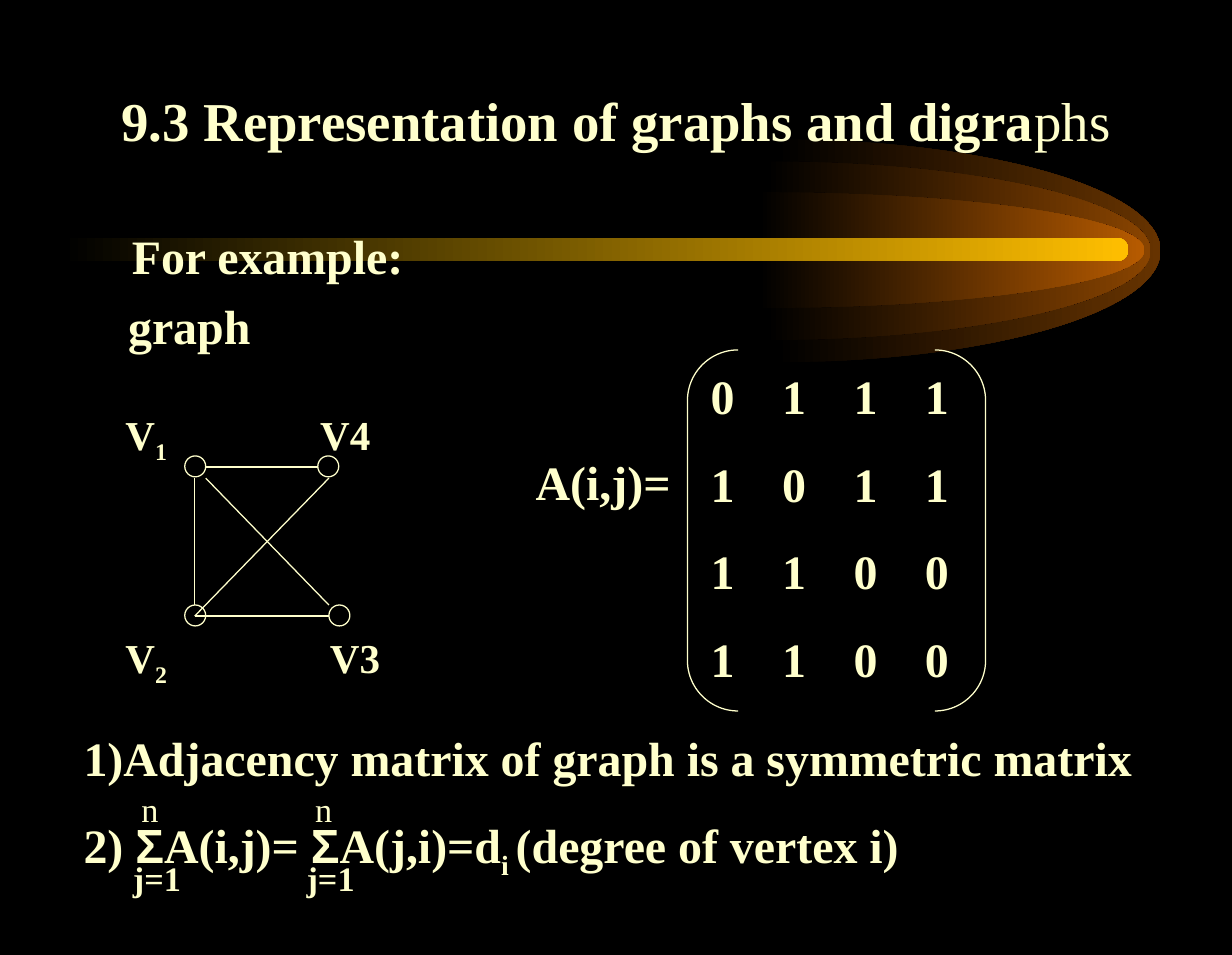
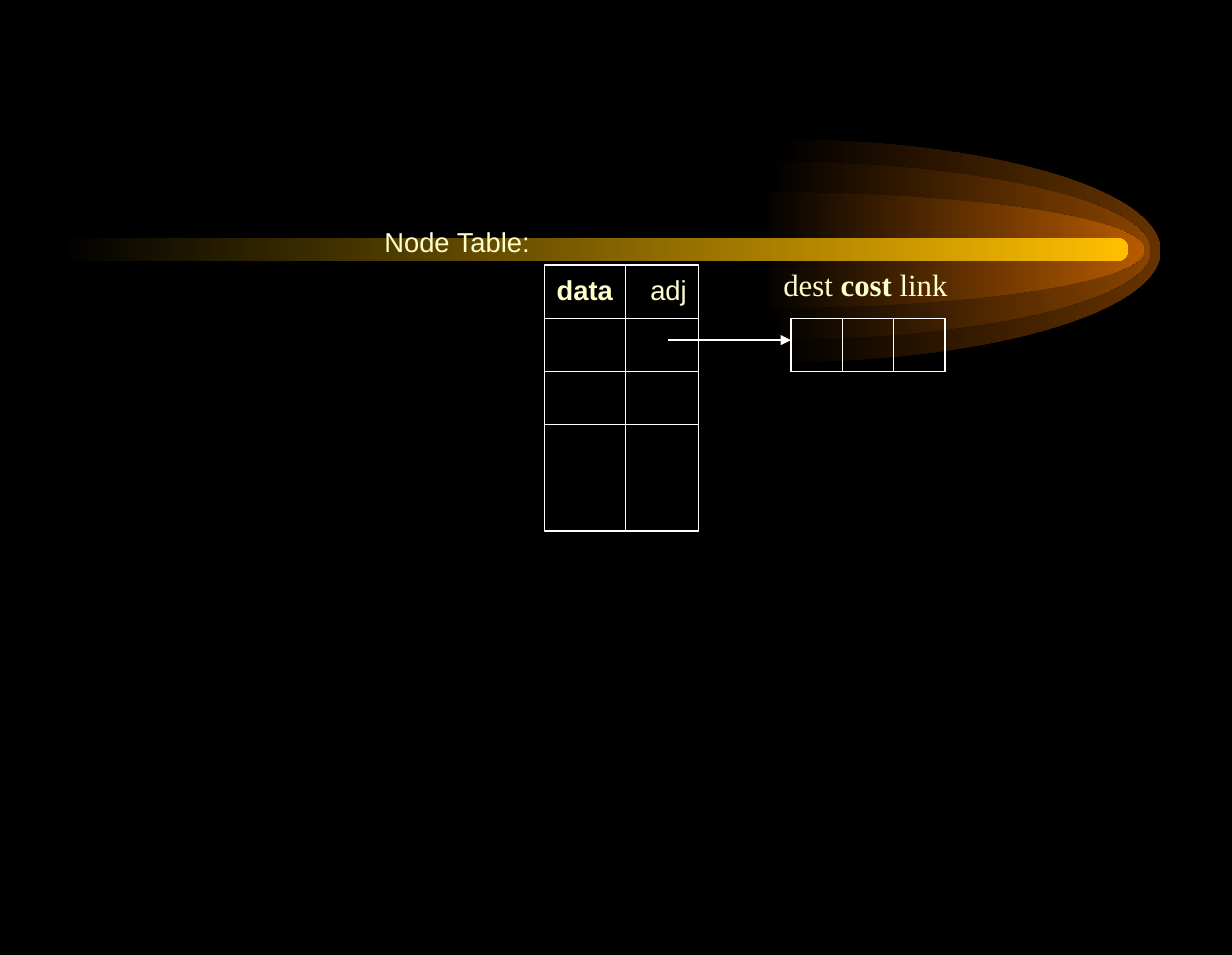
from lxml import etree
from pptx import Presentation
from pptx.dml.color import RGBColor
from pptx.enum.shapes import MSO_CONNECTOR as Connector, MSO_SHAPE as Shape
from pptx.enum.text import MSO_ANCHOR as Anchor, MSO_AUTO_SIZE as AutoSize, PP_ALIGN as Align
from pptx.oxml.ns import qn
from pptx.util import Inches, Pt

COLORS = {
    "background": "000000",
    "text": "FFFFCC",
    "table": "FFFFFF",
    "outer": "663300",
    "middle": "894400",
    "inner": "B75B00",
    "beam": "FFBF00",
}
SERIF, SANS = "Times New Roman", "Arial"


def color(name):
    return RGBColor.from_string(COLORS[name])


def write(frame, paragraphs, size=28, font=SERIF, bold=True, align=Align.LEFT, before=0,
          line=None, indents=(), tab=None, anchor=Anchor.TOP, wrap=True):
    """Fill a frame; a paragraph is a string or a list of (text, run changes)."""
    frame.auto_size = AutoSize.NONE
    frame.word_wrap = wrap
    frame.vertical_anchor = anchor
    for i, content in enumerate(paragraphs):
        paragraph = frame.paragraphs[0] if i == 0 else frame.add_paragraph()
        props = paragraph._p.get_or_add_pPr()
        props.set("marL", str(Inches(indents[i]) if indents else 0))
        props.set("indent", "0")
        etree.SubElement(props, qn("a:buNone"))
        if tab:
            props.set("defTabSz", str(Inches(tab)))
            stops = etree.SubElement(props, qn("a:tabLst"))
            for step in (1, 2, 3):
                etree.SubElement(stops, qn("a:tab"), pos=str(Inches(step * tab)), algn="l")
        paragraph.alignment = align
        paragraph.space_before = Pt(before if i else 0)
        if line:
            paragraph.line_spacing = line
        for words, changes in [(content, {})] if isinstance(content, str) else content:
            run = paragraph.add_run()
            run.text = words
            run.font.size = Pt(size)
            run.font.name = changes.get("font", font)
            run.font.bold = changes.get("bold", bold)
            run.font.color.rgb = color("text")
            if "baseline" in changes:
                run._r.get_or_add_rPr().set("baseline", str(changes["baseline"]))


class Deck:
    def __init__(self):
        self.prs = Presentation()
        self.prs.slide_width, self.prs.slide_height = Inches(10), Inches(7.75)
        fill = self.prs.slide_master.background.fill
        fill.solid()
        fill.fore_color.rgb = color("background")
        self.slide = None

    def add_slide(self, layout):
        self.slide = self.prs.slides.add_slide(self.prs.slide_layouts[layout])

    def fade(self, shape, end):
        """Fade from the background on the left to the end colour."""
        shape.fill.gradient()
        shape.fill.gradient_angle = 0
        for stop, name in zip(shape.fill.gradient_stops, ("background", end)):
            stop.color.rgb = color(name)
        shape.line.fill.background()
        shape.shadow.inherit = False

    def half_ellipse(self, left, top, width, height):
        """Outline a right half ellipse with one curve for each quadrant."""
        builder = self.slide.shapes.build_freeform(Inches(left), Inches(top), scale=1.0)
        builder.add_line_segments([(Inches(left + width), Inches(top + height / 2)),
                                   (Inches(left), Inches(top + height))], close=True)
        shape = builder.convert_to_shape()
        near, far = 0.45, 1.55
        quadrants = (((0.55, 0), (1, near), (1, 1)), ((1, far), (0.55, 2), (0, 2)))
        for segment, points in zip(list(shape._element.iter(qn("a:lnTo"))), quadrants):
            curve = etree.Element(qn("a:cubicBezTo"))
            for x, y in points:
                etree.SubElement(curve, qn("a:pt"), x=str(Inches(x * width)),
                                 y=str(Inches(y * height / 2)))
            segment.getparent().replace(segment, curve)
        return shape

    def comet(self):
        """Draw the comet and hand it to the slide master, behind its placeholders."""
        parts = []
        for left, top, height, end in ((6.29, 1.13, 1.81, "outer"), (6.21, 1.31, 1.45, "middle"),
                                       (6.16, 1.56, 0.94, "inner")):
            parts.append(self.half_ellipse(left, top, 3.13, height))
            self.fade(parts[-1], end)
        beam = self.slide.shapes.add_shape(
            Shape.ROUNDED_RECTANGLE, Inches(0.5), Inches(1.93), Inches(8.66), Inches(0.19))
        beam.adjustments[0] = 0.5
        self.fade(beam, "beam")
        tree = self.prs.slide_master.shapes._spTree
        for position, part in enumerate([*parts, beam], start=2):
            tree.insert(position, part._element)

    def placeholder(self, index, box, paragraphs, **style):
        holder = self.slide.placeholders[index]
        holder.left, holder.top, holder.width, holder.height = map(Inches, box)
        write(holder.text_frame, paragraphs, **style)
        return holder

    def label(self, box, paragraphs, **style):
        write(self.slide.shapes.add_textbox(*map(Inches, box)).text_frame, paragraphs, **style)

    def outline(self, kind, box, line="text"):
        shape = self.slide.shapes.add_shape(kind, *map(Inches, box))
        shape.fill.background()
        shape.line.color.rgb = color(line)
        shape.line.width = Pt(0.75)
        shape.shadow.inherit = False
        return shape

    def line(self, start, end, name="text", arrow=False):
        link = self.slide.shapes.add_connector(Connector.STRAIGHT, *map(Inches, (*start, *end)))
        link.line.color.rgb = color(name)
        link.line.width = Pt(0.75)
        if arrow:
            etree.SubElement(link.line._get_or_add_ln(), qn("a:tailEnd"), type="triangle")
        etree.SubElement(link._element.spPr, qn("a:effectLst"))


def adjacency_matrix(deck):
    deck.add_slide(1)
    deck.comet()
    deck.placeholder(0, (0.75, 0.43, 8.5, 0.86),
                     [[("9.3 Representation of graphs and digra", {}), ("phs", {"bold": False})]],
                     size=32, align=Align.CENTER, anchor=Anchor.BOTTOM)
    example = deck.placeholder(1, (0.75, 1.72, 8.5, 4.63), ["For example:", "graph"],
                               before=7, indents=(0.22, 0.19))
    example.text_frame.margin_top = Inches(0.12)

    # Graph: vertices, edges and their labels
    for x, y in ((1.5, 3.7), (1.5, 4.91), (2.67, 4.91), (2.58, 3.7)):
        deck.outline(Shape.OVAL, (x, y, 0.17, 0.17))
    for start, end in (((1.67, 3.79), (2.58, 3.79)), ((1.58, 3.88), (1.58, 4.91)),
                       ((1.67, 3.88), (2.67, 4.91)), ((2.67, 3.88), (1.58, 5)),
                       ((1.58, 5), (2.67, 5))):
        deck.line(start, end)
    subscript = {"baseline": -25000}
    for box, vertex in (((0.92, 3.27, 0.58, 0.56), [("V", {}), ("1", subscript)]),
                        ((0.92, 5.08, 0.83, 0.56), [("V", {}), ("2", subscript)]),
                        ((2.58, 5.08, 0.92, 0.5), "V3"),
                        ((2.5, 3.27, 1.25, 0.5), "V4")):
        deck.label(box, [vertex], size=24)

    # Adjacency matrix
    deck.label((4.25, 3.62, 1.67, 0.57), ["A(i,j)="])
    brackets = deck.outline(Shape.DOUBLE_BRACKET, (5.58, 2.84, 2.42, 2.93))
    brackets.adjustments[0] = 0.17
    rows = ["\t".join(row) for row in ("0111", "1011", "1100", "1100")]
    deck.label((5.67, 2.93, 2.5, 2.7), rows, before=17.5, tab=0.58)

    # Properties, with the limits of both sums
    sigma = ("Σ", {"font": SANS})
    deck.label((0.58, 5.86, 9.08, 1.34), [
        "1)Adjacency matrix of graph is a symmetric matrix",
        [("2) ", {}), sigma, ("A(i,j)= ", {}), sigma, ("A(j,i)=d", {}),
         ("i ", subscript), ("(degree of vertex i)", {})],
    ], before=17.5)
    for x in (0.98, 2.39):
        deck.label((x + 0.07, 6.35, 0.42, 0.43), ["n"], size=20, bold=False)
        deck.label((x, 6.91, 0.75, 0.43), ["j=1"], size=20)


def node_table(deck):
    deck.add_slide(6)
    left, top, width, bottom = 4.42, 2.15, 1.25, 4.31
    right, row = left + width, (bottom - top) / 5

    # Node table
    header = deck.outline(Shape.FLOWCHART_PROCESS, (left, top, width, row), "table")
    header.text_frame.margin_right = 0
    write(header.text_frame, [[("data\t", {}), ("adj", {"bold": False})]], size=16, font=SANS,
          line=0.9, tab=0.76, anchor=Anchor.MIDDLE)
    deck.outline(Shape.RECTANGLE, (left, top + row, width, 4 * row), "table")
    for i in (2, 3):
        deck.line((left, top + i * row), (right, top + i * row), "table")
    deck.line((5.08, top), (5.08, bottom), "table")

    # Edge record that the first node points to
    record_left = 6.42
    deck.outline(Shape.RECTANGLE, (record_left, top + row, width, row), "table")
    for i in (1, 2):
        x = record_left + i * width / 3
        deck.line((x, top + row), (x, top + 2 * row), "table")
    deck.line((5.42, 2.76), (record_left, 2.76), "table", arrow=True)

    # Captions
    deck.label((2.92, 1.81, 1.58, 0.34), ["Node Table:"], size=16, font=SANS, bold=False,
               align=Align.CENTER, line=0.9)
    deck.label((6.26, 2.11, 1.54, 0.4), [[("dest ", {}), ("cost", {"bold": True}), (" link", {})]],
               size=18, bold=False, wrap=False)


def main():
    deck = Deck()
    adjacency_matrix(deck)
    node_table(deck)
    deck.prs.save("out.pptx")


if __name__ == "__main__":
    main()
